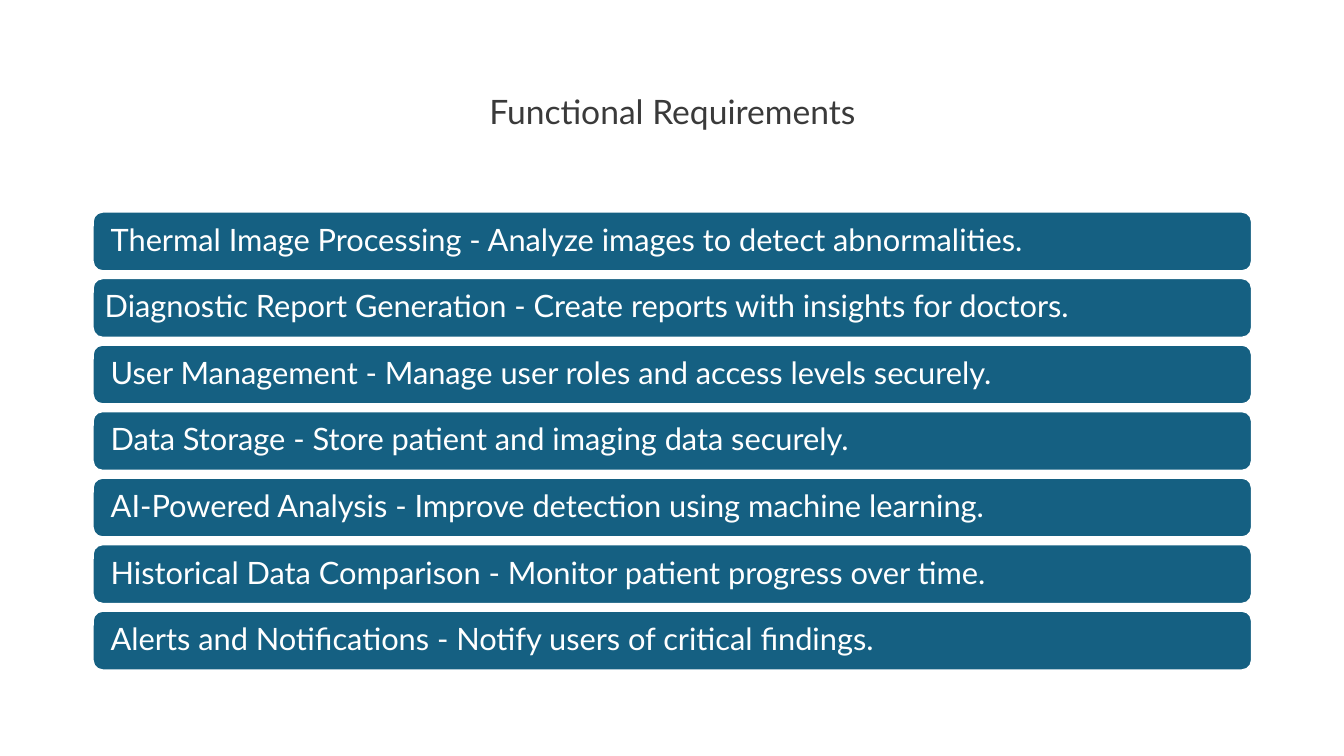
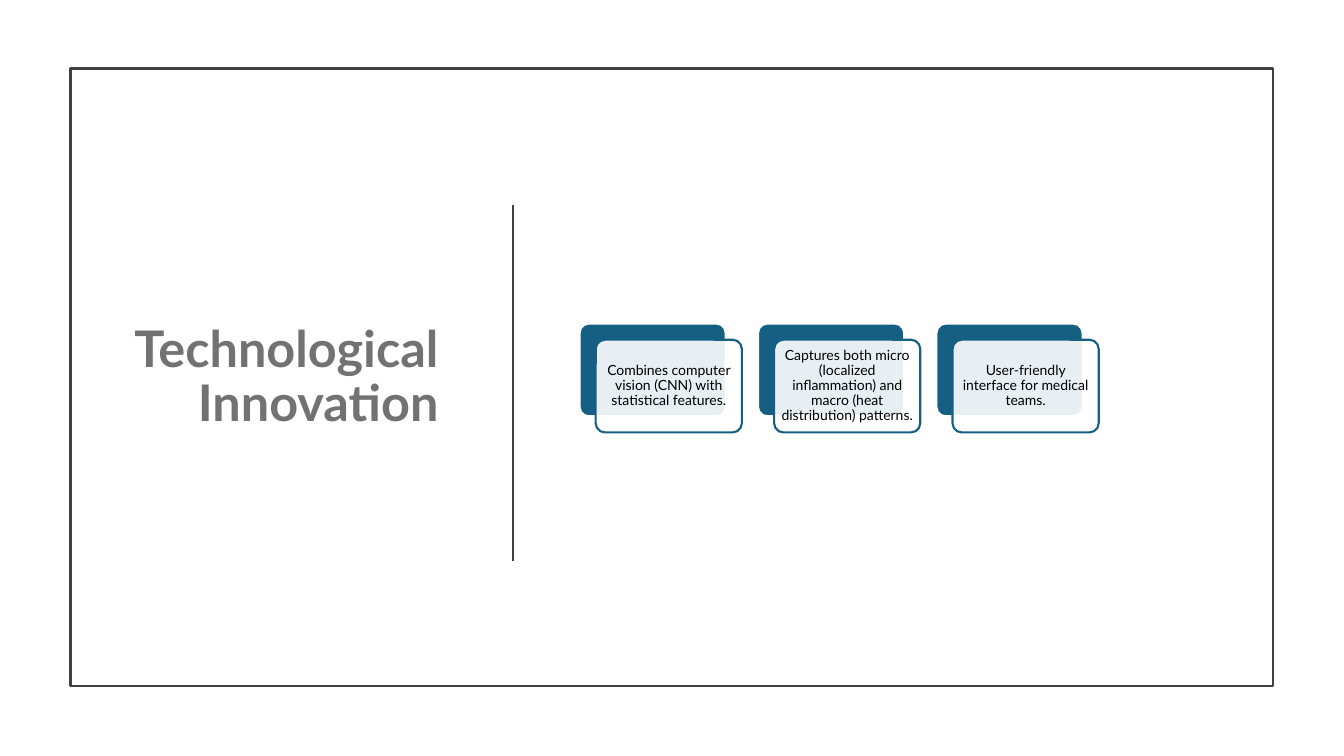
from dataclasses import dataclass

import pptx
import pptx.util
import pptx.dml.color
import pptx.enum.shapes
import pptx.enum.text
import pptx.oxml
import pptx.oxml.ns
import lxml.etree

PX = 9144  # EMU; 100 px to the inch
Shape = pptx.enum.shapes.MSO_SHAPE
Align = pptx.enum.text.PP_ALIGN
qn = pptx.oxml.ns.qn


@dataclass(frozen=True)
class Theme:
    font: str = "Lato"
    accent: str = "156082"
    white: str = "FFFFFF"
    black: str = "000000"
    outline: str = "404040"
    heading: str = "3A3A3A"
    heading_soft: str = "727272"
    heading_size: int = 24
    heading_large: int = 36
    bar_size: int = 22
    card_size: int = 10
    line_width: float = 1.5
    line_spacing: float = 0.9


THEME = Theme()


def add_box(slide, kind, x, y, w, h, fill, outline):
    box = slide.shapes.add_shape(kind, x * PX, y * PX, w * PX, h * PX)
    box.shadow.inherit = False
    if fill:
        box.fill.solid()
        box.fill.fore_color.rgb = pptx.dml.color.RGBColor.from_string(fill)
    else:
        box.fill.background()
    box.line.color.rgb = pptx.dml.color.RGBColor.from_string(outline)
    box.line.width = pptx.util.Pt(THEME.line_width)
    return box


def write(shape, text, size, color, align, bold=False):
    """Fill a shape or placeholder with one vertically centred paragraph."""
    frame = shape.text_frame
    frame.text = text
    frame.word_wrap = True
    frame.auto_size = pptx.enum.text.MSO_AUTO_SIZE.NONE
    frame.vertical_anchor = pptx.enum.text.MSO_ANCHOR.MIDDLE
    paragraph = frame.paragraphs[0]
    paragraph.alignment = align
    paragraph.line_spacing = THEME.line_spacing
    font = paragraph.runs[0].font
    font.name = THEME.font
    font.size = pptx.util.Pt(size)
    font.bold = bold
    font.color.rgb = pptx.dml.color.RGBColor.from_string(color)


deck = pptx.Presentation()
deck.slide_width = pptx.util.Emu(12192000)
deck.slide_height = 750 * PX
title_only = deck.slide_layouts[5]

# Functional requirements: a stack of bars
requirements_slide = deck.slides.add_slide(title_only)
title = requirements_slide.shapes.title
title.left, title.top, title.width, title.height = 92 * PX, 40 * PX, 1150 * PX, 145 * PX
write(title, "Functional Requirements", THEME.heading_size, THEME.heading, Align.CENTER)

BAR_TOP, BAR_PITCH, BAR_INSET, BAR_INDENT = 210, 66, 9, 6
requirements = [
    ("Thermal Image Processing - Analyze images to detect abnormalities.", BAR_INDENT),
    ("Diagnostic Report Generation - Create reports with insights for doctors.", 0),
    ("User Management - Manage user roles and access levels securely.", BAR_INDENT),
    ("Data Storage - Store patient and imaging data securely.", BAR_INDENT),
    ("AI-Powered Analysis - Improve detection using machine learning.", BAR_INDENT),
    ("Historical Data Comparison - Monitor patient progress over time.", BAR_INDENT),
    ("Alerts and Notifications - Notify users of critical findings.", BAR_INDENT),
]
for row, (requirement, indent) in enumerate(requirements):
    bar = add_box(requirements_slide, Shape.ROUNDED_RECTANGLE,
                  92, BAR_TOP + row * BAR_PITCH, 1150, 59, THEME.accent, THEME.white)
    write(bar, requirement, THEME.bar_size, THEME.white, Align.LEFT)
    bar.text_frame.margin_left = (BAR_INSET + indent) * PX

# Technological innovation: framed title, divider and layered cards
innovation_slide = deck.slides.add_slide(title_only)
add_box(innovation_slide, Shape.RECTANGLE, 70, 68, 1193, 613, None, THEME.outline)
title = innovation_slide.shapes.title
title.left, title.top, title.width, title.height = 118 * PX, 130 * PX, 327 * PX, 490 * PX
write(title, "Technological Innovation", THEME.heading_large, THEME.heading_soft,
      Align.RIGHT, bold=True)

divider = innovation_slide.shapes.add_connector(
    pptx.enum.shapes.MSO_CONNECTOR.STRAIGHT, 509 * PX, 203 * PX, 509 * PX, 557 * PX)
divider.line.color.rgb = pptx.dml.color.RGBColor.from_string(THEME.outline)
divider.line.width = pptx.util.Pt(THEME.line_width)
lxml.etree.SubElement(divider._element.spPr, qn("a:effectLst"))

CARD_LEFT, CARD_TOP, CARD_PITCH, CARD_OFFSET, CARD_INSET = 575, 321, 177, 16, 4
CARD_W, CARD_H = 145, 92
innovations = [
    "Combines computer vision (CNN) with statistical features.",
    "Captures both micro (localized inflammation) and macro (heat distribution) patterns.",
    "User-friendly interface for medical teams.",
]
for column, innovation in enumerate(innovations):
    left = CARD_LEFT + column * CARD_PITCH
    backing = add_box(innovation_slide, Shape.ROUNDED_RECTANGLE,
                      left, CARD_TOP, CARD_W, CARD_H, THEME.accent, THEME.white)
    card = add_box(innovation_slide, Shape.ROUNDED_RECTANGLE,
                   left + CARD_OFFSET, CARD_TOP + CARD_OFFSET, CARD_W, CARD_H,
                   THEME.white, THEME.accent)
    for layer in (backing, card):
        layer.adjustments[0] = 0.1
    card_color = card._element.spPr.find(qn("a:solidFill")).find(qn("a:srgbClr"))
    lxml.etree.SubElement(card_color, qn("a:alpha"), val="90000")
    write(card, innovation, THEME.card_size, THEME.black, Align.CENTER)
    frame = card.text_frame
    frame.margin_left = frame.margin_right = CARD_INSET * PX
    frame.margin_top = frame.margin_bottom = CARD_INSET * PX

deck.save("out.pptx")
